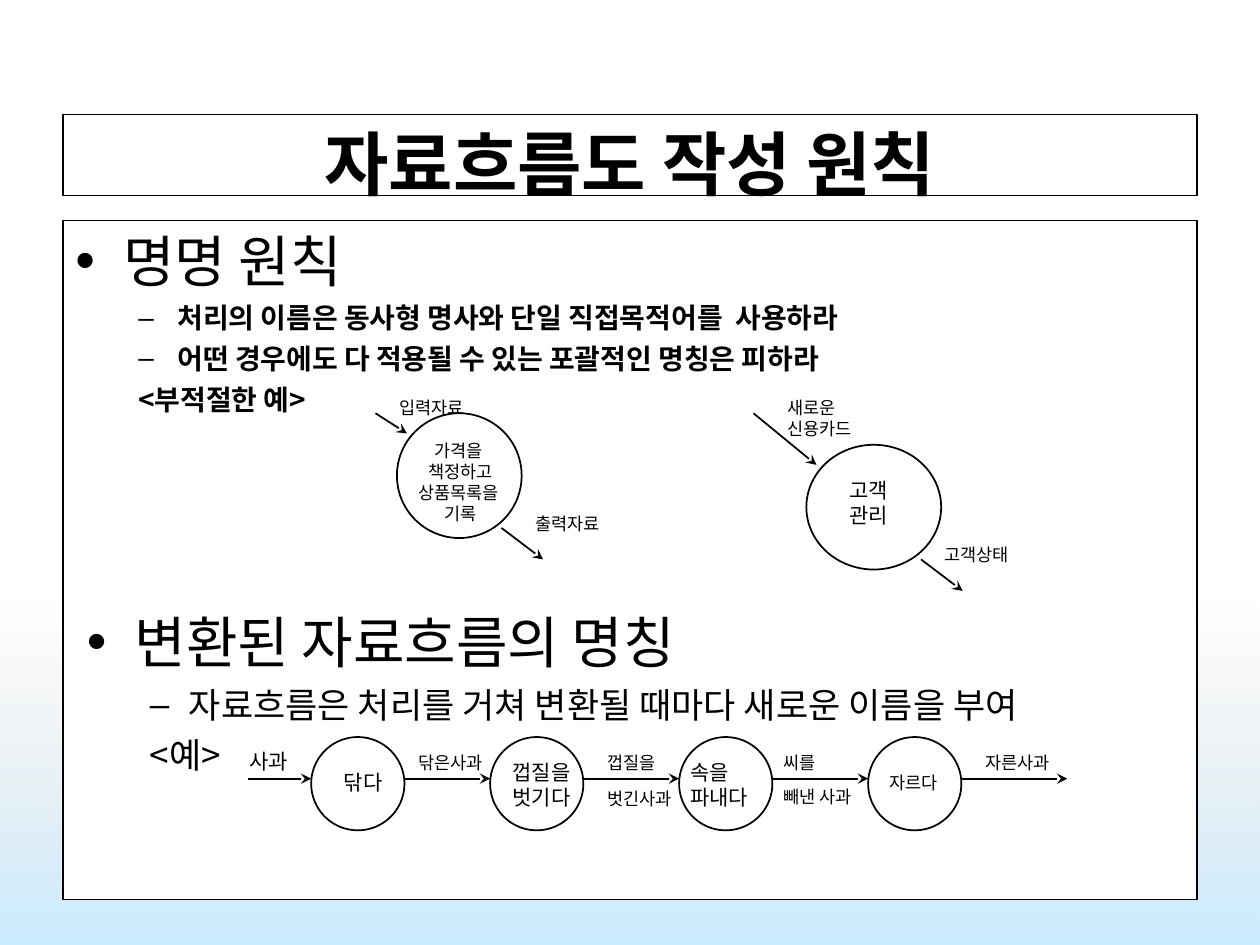
import pptx
import pptx.util
import pptx.dml.color
import pptx.enum.dml
import pptx.enum.shapes
import pptx.enum.text
import pptx.oxml
import pptx.oxml.ns
from lxml import etree

Inches, Pt = pptx.util.Inches, pptx.util.Pt
qn = pptx.oxml.ns.qn
SHAPE = pptx.enum.shapes.MSO_SHAPE
ALIGN = pptx.enum.text.PP_ALIGN
AUTO_SIZE = pptx.enum.text.MSO_AUTO_SIZE

COLORS = {"ink": "000000", "paper": "FFFFFF", "grey": "DDDDDD", "sky": "CCECFF"}
HEADING_FONT, LABEL_FONT = "Noto Sans CJK KR", "Arial"


def rgb(name):
    return pptx.dml.color.RGBColor.from_string(COLORS[name])


def format_runs(p, size, font, bold=False):
    for r in p.runs:
        r.font.size, r.font.bold, r.font.name = Pt(size), bold, font
        r.font.color.rgb = rgb("ink")
        east_asian = etree.SubElement(r.font._element, qn("a:ea"))
        east_asian.set("typeface", HEADING_FONT)


def set_outline(sp, width):
    sp.line.color.rgb = rgb("ink")
    sp.line.width = Pt(width)


def set_panel(sp):
    sp.fill.solid()
    sp.fill.fore_color.rgb = rgb("paper")
    set_outline(sp, 0.75)


def add_backdrop(slide):
    """Bottom band that fades in from transparent grey to sky blue."""
    sp = slide.shapes.add_shape(SHAPE.RECTANGLE, 0, Inches(4.77), Inches(10), Inches(2.73))
    sp.shadow.inherit = False
    sp.line.fill.background()
    sp.fill.gradient()
    sp.fill.gradient_angle = 270
    for stop, color, position in zip(sp.fill.gradient_stops, ("grey", "sky"), (0, 1)):
        stop.color.rgb = rgb(color)
        stop.position = position
    first_color = next(sp._element.iter(qn("a:srgbClr")))
    etree.SubElement(first_color, qn("a:alpha")).set("val", "0")
    slide.shapes._spTree.insert(2, sp._element)


def set_title(slide, text):
    title = slide.shapes.title
    title.left, title.top = Inches(0.5), Inches(0.91)
    title.width, title.height = Inches(9), Inches(0.64)
    set_panel(title)
    tf = title.text_frame
    tf.text = text
    tf.auto_size = AUTO_SIZE.NONE
    tf.vertical_anchor = pptx.enum.text.MSO_ANCHOR.TOP
    tf.paragraphs[0].alignment = ALIGN.CENTER
    format_runs(tf.paragraphs[0], 40, HEADING_FONT, bold=True)


def set_bullet(p, char, margin, hanging):
    pPr = p._p.get_or_add_pPr()
    pPr.set("marL", str(Inches(margin)))
    pPr.set("indent", str(-Inches(hanging)))
    if char:
        color = etree.SubElement(pPr, qn("a:buClr"))
        etree.SubElement(color, qn("a:srgbClr")).set("val", COLORS["ink"])
        etree.SubElement(pPr, qn("a:buFont")).set("typeface", LABEL_FONT)
        etree.SubElement(pPr, qn("a:buChar")).set("char", char)
    else:
        etree.SubElement(pPr, qn("a:buNone"))


def add_outline_text(slide, left, top, width, height, heading, items, size, space, bold=False):
    """Bulleted heading, dashed items, and a last item without a dash."""
    box = slide.shapes.add_textbox(Inches(left), Inches(top), Inches(width), Inches(height))
    tf = box.text_frame
    tf.word_wrap = True
    tf.text = "\n".join([heading] + items)
    first, *rest = tf.paragraphs
    first.space_before = Pt(8)
    set_bullet(first, "•", 0.38, 0.38)
    format_runs(first, 32, HEADING_FONT)
    for p in rest:
        p.level = 1
        p.space_before = Pt(space)
        set_bullet(p, None if p is rest[-1] else "–", 0.81, 0.31)
        format_runs(p, size, HEADING_FONT, bold)
    return box


def add_circle(slide, left, top, width, height):
    sp = slide.shapes.add_shape(SHAPE.OVAL, Inches(left), Inches(top), Inches(width), Inches(height))
    sp.shadow.inherit = False
    sp.fill.background()
    set_outline(sp, 1)


def add_label(slide, left, top, width, height, text, size=10, align=ALIGN.LEFT, spacing=None):
    """Unwrapped label; spacing is the line spacing of its last line."""
    box = slide.shapes.add_textbox(Inches(left), Inches(top), Inches(width), Inches(height))
    tf = box.text_frame
    tf.word_wrap = False
    tf.auto_size = AUTO_SIZE.SHAPE_TO_FIT_TEXT
    tf.text = text
    for p in tf.paragraphs:
        p.alignment = align
        format_runs(p, size, LABEL_FONT)
    if spacing:
        tf.paragraphs[-1].line_spacing = spacing


def add_arrow(slide, x1, y1, x2, y2):
    line = slide.shapes.add_connector(pptx.enum.shapes.MSO_CONNECTOR.STRAIGHT,
                                      Inches(x1), Inches(y1), Inches(x2), Inches(y2))
    set_outline(line, 1)
    etree.SubElement(line.line._get_or_add_ln(), qn("a:tailEnd")).set("type", "stealth")
    etree.SubElement(line._element.spPr, qn("a:effectLst"))


def add_bad_examples(slide):
    add_circle(slide, 3.15, 3.28, 0.99, 0.99)
    add_label(slide, 3.2, 3.44, 0.91, 0.77, "가격을 \n책정하고\n상품목록을 \n기록", align=ALIGN.CENTER)
    add_circle(slide, 6.4, 3.53, 1.07, 0.99)
    add_label(slide, 6.64, 3.74, 0.51, 0.5, "고객\n관리", size=12)
    flows = [
        ((2.98, 3.28, 3.23, 3.44), (3.07, 3.1, 0.71, 0.27), "입력자료"),
        ((3.98, 4.19, 4.31, 4.44), (4.15, 4.02, 0.71, 0.27), "출력자료"),
        ((5.98, 3.28, 6.48, 3.69), (6.15, 3.1, 0.71, 0.44), "새로운\n신용카드"),
        ((7.31, 4.44, 7.64, 4.69), (7.4, 4.27, 0.71, 0.27), "고객상태"),
    ]
    for arrow, label, text in flows:
        add_arrow(slide, *arrow)
        add_label(slide, *label, text)


def add_apple_flow(slide):
    diameter, arrow_y = 0.74, 6.18
    circles = [2.47, 3.89, 5.39, 6.89]
    steps = [
        ((2.63, 6.06, 0.51, 0.3), "닦다", 12),
        ((3.97, 5.98, 0.66, 0.5), "껍질을\n벗기다", 12),
        ((5.38, 5.98, 0.66, 0.5), "속을\n파내다", 12),
        ((6.96, 6.08, 0.58, 0.27), "자르다", 10),
    ]
    for left, (place, text, size) in zip(circles, steps):
        add_circle(slide, left, 5.85, diameter, diameter)
        add_label(slide, *place, text, size)

    starts = [1.97] + [left + diameter for left in circles]
    for start, end in zip(starts, circles + [8.47]):
        add_arrow(slide, start, arrow_y, end, arrow_y)

    add_label(slide, 1.88, 5.89, 0.51, 0.3, "사과", size=12)
    add_label(slide, 3.22, 5.92, 0.71, 0.27, "닦은사과")
    add_label(slide, 4.72, 5.92, 0.71, 0.55, "껍질을\n벗긴사과", spacing=1.7)
    add_label(slide, 6.12, 5.92, 0.78, 0.54, "씨를\n빼낸 사과", spacing=1.6)
    add_label(slide, 7.72, 5.92, 0.71, 0.27, "자른사과")


def main():
    prs = pptx.Presentation()
    prs.slide_width, prs.slide_height = Inches(10), Inches(7.5)
    slide = prs.slides.add_slide(prs.slide_layouts[5])
    add_backdrop(slide)
    set_title(slide, "자료흐름도 작성 원칙")
    naming = add_outline_text(
        slide, 0.5, 1.75, 9, 5.39, "명명 원칙",
        ["처리의 이름은 동사형 명사와 단일 직접목적어를  사용하라",
         "어떤 경우에도 다 적용될 수 있는 포괄적인 명칭은 피하라",
         "<부적절한 예>"], size=16, space=4, bold=True)
    set_panel(naming)
    add_outline_text(
        slide, 0.59, 4.77, 8.75, 1.54, "변환된 자료흐름의 명칭",
        ["자료흐름은 처리를 거쳐 변환될 때마다 새로운 이름을 부여", "<예>"], size=20, space=5)
    add_bad_examples(slide)
    add_apple_flow(slide)
    prs.save("out.pptx")


if __name__ == "__main__":
    main()
